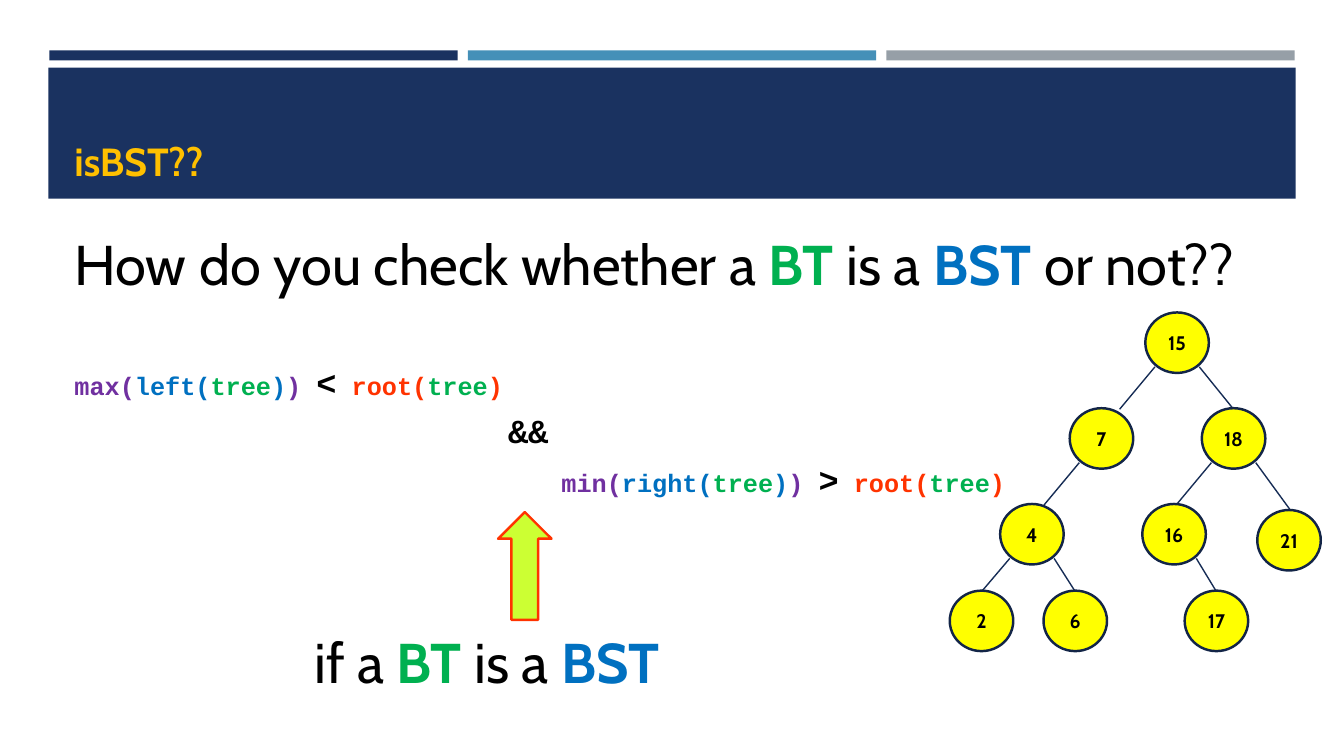
from pptx import Presentation
from pptx.dml.color import RGBColor
from pptx.enum.shapes import MSO_CONNECTOR, MSO_SHAPE
from pptx.enum.text import MSO_ANCHOR, MSO_AUTO_SIZE, PP_ALIGN
from pptx.util import Inches, Pt
from lxml import etree

THEME = {
    "navy": "1A3260", "blue_bar": "4590B8", "grey_bar": "969FA7",
    "title": "FFC000", "text": "000000", "bt": "00B050", "bst": "0070C0",
    "call": "7030A0", "root": "FF3300",
    "node": "FFFF00", "node_line": "132547", "edge": "172D56", "arrow": "CCFF33",
    "sans": "Cabin", "mono": "Courier New",
    "title_size": 28, "question_size": 40, "code_size": 18,
    "operator_size": 24, "node_size": 14,
}

TITLE = "isBST??"
# Sentence pieces: text, colour, bold
BT_IS_BST = [("BT", "bt", True), (" is a ", "text", False), ("BST", "bst", True)]
QUESTION = [("How do you check whether a ", "text", False), *BT_IS_BST,
            (" or not??", "text", False)]
ANSWER = [("if a ", "text", False), *BT_IS_BST]

# Conditions: outer call, subtree call, operator, box
CONDITIONS = [
    ("max", "left", "<", (0.64, 3.54, 4.47, 0.5)),
    ("min", "right", ">", (5.47, 4.5, 4.62, 0.5)),
]

BARS = ["navy", "blue_bar", "grey_bar"]
BAR_LEFT, BAR_TOP, BAR_WIDTH, BAR_HEIGHT, BAR_GAP = 0.49, 0.5, 4.05, 0.1, 0.1

# Tree nodes: value -> left, top
NODES = {15: (11.36, 3.1), 7: (10.61, 4.05), 18: (11.92, 4.05),
         4: (9.92, 5.0), 16: (11.33, 5.0), 21: (12.47, 5.06),
         2: (9.42, 5.86), 6: (10.35, 5.86), 17: (11.75, 5.86)}
# Edges: parent, child, distance of the end from the child's centre line
EDGES = [(15, 7, 0.18), (15, 18, 0), (7, 4, 0.12), (18, 16, 0.02),
         (18, 21, 0.02), (4, 2, 0), (4, 6, 0), (16, 17, 0)]
NODE_WIDTH, NODE_HEIGHT = 0.63, 0.6
EDGE_OUT, EDGE_DOWN = 0.22, 0.54


def color(name):
    """Return a theme colour."""
    return RGBColor.from_string(THEME[name])


def add_run(paragraph, text, ink, size, font="sans", bold=True):
    """Append one styled run."""
    run = paragraph.add_run()
    run.text = text
    run.font.name = THEME[font]
    run.font.size = Pt(THEME[size])
    run.font.bold = bold
    run.font.color.rgb = color(ink)


def add_text(slide, box):
    """Add an unwrapped text box and return its paragraph."""
    frame = slide.shapes.add_textbox(*map(Inches, box)).text_frame
    frame.word_wrap = False
    frame.auto_size = MSO_AUTO_SIZE.SHAPE_TO_FIT_TEXT
    return frame.paragraphs[0]


def add_block(slide, kind, box, fill, line=None):
    """Add a flat preset shape, outlined when a line colour is given."""
    shape = slide.shapes.add_shape(kind, *map(Inches, box))
    shape.shadow.inherit = False
    shape.fill.solid()
    shape.fill.fore_color.rgb = color(fill)
    if line:
        shape.line.color.rgb = color(line)
        shape.line.width = Pt(1.75)
    else:
        shape.line.fill.background()
    return shape


def add_header(slide):
    """Draw the three bars and the title band."""
    for i, fill in enumerate(BARS):
        left = BAR_LEFT + i * (BAR_WIDTH + BAR_GAP)
        add_block(slide, MSO_SHAPE.RECTANGLE,
                  (left, BAR_TOP, BAR_WIDTH, BAR_HEIGHT), fill)
    add_block(slide, MSO_SHAPE.RECTANGLE, (0.48, 0.67, 12.37, 1.3), "navy")
    frame = slide.shapes.add_textbox(*map(Inches, (0.64, 0.77, 12.06, 1.11))).text_frame
    frame.word_wrap = True
    frame.vertical_anchor = MSO_ANCHOR.BOTTOM
    add_run(frame.paragraphs[0], TITLE, "title", "title_size")


def add_sentence(slide, pieces, box):
    """Write a large sentence with coloured terms."""
    paragraph = add_text(slide, box)
    for text, ink, bold in pieces:
        add_run(paragraph, text, ink, "question_size", bold=bold)


def add_condition(slide, outer, side, operator, box):
    """Write one comparison between a subtree and the root."""
    paragraph = add_text(slide, box)
    pieces = [(f"{outer}(", "call"), (f"{side}(", "bst"), ("tree", "bt"),
              (")", "bst"), (") ", "call"), (operator, "text"), (" ", "text"),
              ("root(", "root"), ("tree", "bt"), (")", "root")]
    for text, ink in pieces:
        size = "operator_size" if text == operator else "code_size"
        add_run(paragraph, text, ink, size, "mono")


def add_edge(slide, parent, child, lean):
    """Join a parent's lower side to the top of its child."""
    (parent_x, parent_y), (child_x, child_y) = NODES[parent], NODES[child]
    side = 1 if child_x > parent_x else -1
    middle = NODE_WIDTH / 2
    ends = (parent_x + middle + side * EDGE_OUT, parent_y + EDGE_DOWN,
            child_x + middle + lean, child_y + 0.01)
    line = slide.shapes.add_connector(MSO_CONNECTOR.STRAIGHT, *map(Inches, ends))
    line.line.color.rgb = color("edge")
    line.line.width = Pt(1)
    properties = line.element.spPr
    etree.SubElement(properties, f"{{{properties.nsmap['a']}}}effectLst")


def add_node(slide, value, place):
    """Draw one numbered tree node."""
    node = add_block(slide, MSO_SHAPE.OVAL, (*place, NODE_WIDTH, NODE_HEIGHT),
                     "node", "node_line")
    node.text_frame.vertical_anchor = MSO_ANCHOR.MIDDLE
    paragraph = node.text_frame.paragraphs[0]
    paragraph.alignment = PP_ALIGN.CENTER
    add_run(paragraph, str(value), "text", "node_size")


def main():
    """Build and save the slide."""
    deck = Presentation()
    deck.slide_width, deck.slide_height = Inches(13.33), Inches(7.5)
    slide = deck.slides.add_slide(deck.slide_layouts[6])
    add_header(slide)
    add_sentence(slide, QUESTION, (0.64, 2.23, 12.11, 0.77))
    for edge in EDGES:
        add_edge(slide, *edge)
    for value, place in NODES.items():
        add_node(slide, value, place)
    for condition in CONDITIONS:
        add_condition(slide, *condition)
    add_run(add_text(slide, (4.94, 4.02, 0.61, 0.5)), "&&", "text",
            "operator_size", "mono")
    add_sentence(slide, ANSWER, (3.02, 6.18, 4.15, 0.77))
    add_block(slide, MSO_SHAPE.UP_ARROW, (4.94, 5.08, 0.53, 1.07), "arrow", "root")
    deck.save("out.pptx")


main()
